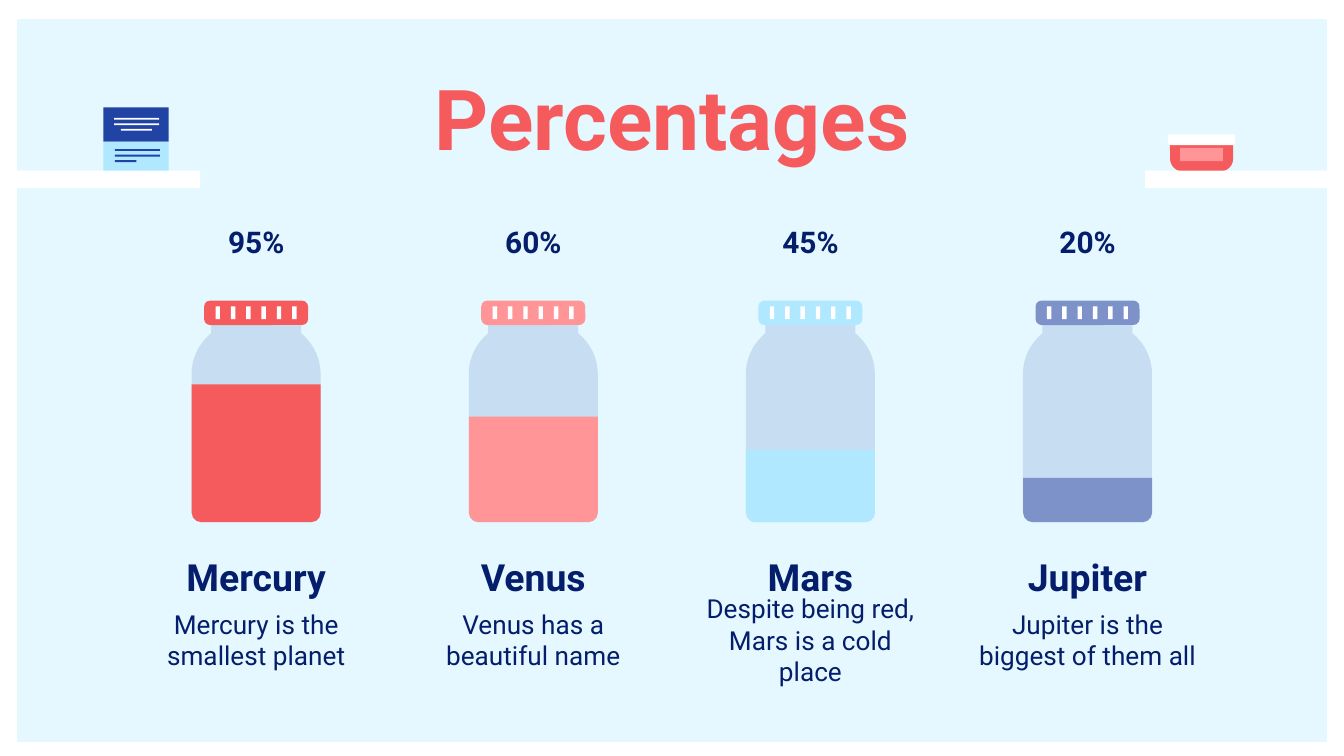
from pptx import Presentation
from pptx.dml.color import RGBColor
from pptx.enum.shapes import MSO_SHAPE as Shape
from pptx.enum.text import MSO_ANCHOR as Anchor, PP_ALIGN as Align
from pptx.oxml import parse_xml
from pptx.oxml.ns import nsdecls
from pptx.util import Inches, Pt

WHITE = RGBColor(0xFF, 0xFF, 0xFF)
PALE = RGBColor(0xE5, 0xF8, 0xFF)
SKY = RGBColor(0xB0, 0xE8, 0xFF)
BLUE = RGBColor(0x21, 0x43, 0xA3)
NAVY = RGBColor(0x05, 0x1E, 0x6B)
LAVENDER = RGBColor(0x7E, 0x92, 0xCA)
CORAL = RGBColor(0xF5, 0x5B, 0x5D)
PINK = RGBColor(0xFF, 0x95, 0x97)

# The slide is a grid of square cells: 100 columns by 56.25 rows
COLUMNS, ROWS = 100, 56.25
CELL = Inches(0.1)

deck = Presentation()
deck.slide_width, deck.slide_height = int(COLUMNS * CELL), int(ROWS * CELL)
slide = deck.slides.add_slide(deck.slide_layouts[6])
slide.background.fill.solid()
slide.background.fill.fore_color.rgb = PALE


def block(parent, left, top, width, height, color, kind=Shape.RECTANGLE, radius=0):
    """Add a flat shape, measured in cells; radius rounds its corners."""
    shape = parent.add_shape(kind, *(int(n * CELL) for n in (left, top, width, height)))
    shape.shadow.inherit = False
    shape.line.fill.background()
    shape.fill.solid()
    shape.fill.fore_color.rgb = color
    if radius:
        shape.adjustments[0] = radius / min(width, height)
    return shape


def write(text, center, top, width, height, size, color=NAVY, bold=False):
    """Add a text box centred on a column."""
    left = center - width / 2
    box = slide.shapes.add_textbox(*(int(n * CELL) for n in (left, top, width, height)))
    frame = box.text_frame
    frame.word_wrap = True
    frame.vertical_anchor = Anchor.MIDDLE
    frame.margin_left = frame.margin_right = CELL
    frame.margin_top = frame.margin_bottom = CELL
    paragraph = frame.paragraphs[0]
    paragraph.alignment = Align.CENTER
    run = paragraph.add_run()
    run.text = text
    run.font.name, run.font.size, run.font.bold = "Roboto", Pt(size), bold
    run.font.color.rgb = color
    return paragraph


# White frame around the slide
border = block(slide.shapes, 0, 0.2, COLUMNS, ROWS, WHITE)
border.fill.background()
border.line.color.rgb = WHITE
border.line.width = Pt(18)

# Labelled box on the left shelf
carton = slide.shapes.add_group_shape().shapes
block(carton, 7.7, 8, 4.85, 2.55, BLUE)
block(carton, 7.7, 10.55, 4.85, 2.2, SKY)
for row, (left, width) in enumerate([(8.5, 3.35), (8.5, 3.35), (9, 2.3)]):
    block(carton, left, 8.77 + 0.41 * row, width, 0.14, WHITE)
for row, width in enumerate([3.35, 3.35, 1.6]):
    block(carton, 8.55, 11.1 + 0.41 * row, width, 0.14, BLUE)

# Small pot on the right shelf
pot = slide.shapes.add_group_shape().shapes
block(pot, 87.05, 10.4, 4.7, 2.35, CORAL, Shape.ROUND_2_SAME_RECTANGLE, 0.95).rotation = 180
block(pot, 86.9, 10, 5, 0.8, WHITE)
block(pot, 87.8, 11, 3.2, 1, PINK)

for shelf_left in (-1.2, 85.2):
    block(slide.shapes, shelf_left, 12.7, 16.1, 1.3, WHITE)

title = write("Percentages", COLUMNS / 2, 5, 84.5, 6.3, 45, CORAL, True)
title.line_spacing = 1.15

# Left half of the glass, around the jar's centre line; the right half mirrors it
NECK_TOP, BOTTOM = 24.1, 38.85
shoulder = [(-3.35, 24.8), (-4.2, 25.5), (-4.8, 26.6), (-4.8, 27.8)]
foot = [(-4.8, 38.1), (-4.8, 38.5), (-4.5, BOTTOM), (-4.1, BOTTOM)]
left_half = [(-3.35, NECK_TOP)]
STEPS = 12
for curve in (shoulder, foot):
    for step in range(STEPS + 1):
        t = step / STEPS
        weights = ((1 - t) ** 3, 3 * t * (1 - t) ** 2, 3 * t * t * (1 - t), t ** 3)
        left_half.append(tuple(sum(w * point[axis] for w, point in zip(weights, curve))
                               for axis in (0, 1)))
outline = left_half + [(-x, y) for x, y in reversed(left_half)]
outline = [(x * CELL, y * CELL) for x, y in outline]

planets = [
    ("Mercury", "95%", "Mercury is the smallest planet", CORAL, 10.25),
    ("Venus", "60%", "Venus has a beautiful name", PINK, 7.85),
    ("Mars", "45%", "Despite being red, Mars is a cold place", SKY, 5.35),
    ("Jupiter", "20%", "Jupiter is the biggest of them all", LAVENDER, 3.3),
]
FIRST_CENTER, PITCH = 19.06, 20.62
for column, (planet, share, fact, color, level) in enumerate(planets):
    center = FIRST_CENTER + column * PITCH
    write(share, center, 15.5, 8.1, 4.9, 16, bold=True)

    jar = slide.shapes.add_group_shape().shapes
    builder = jar.build_freeform(*outline[0])
    builder.add_line_segments(outline[1:], close=True)
    glass = builder.convert_to_shape(int(center * CELL), 0)
    glass.shadow.inherit = False
    glass.line.fill.background()
    glass.fill.solid()
    glass.fill.fore_color.rgb = BLUE
    glass_color = glass.fill._xPr.solidFill[0]
    glass_color.append(parse_xml(f'<a:alpha {nsdecls("a")} val="15000"/>'))

    block(jar, center - 3.87, 22.37, 7.74, 1.82, color, Shape.ROUNDED_RECTANGLE, 0.45)
    for slit in range(6):
        block(jar, center - 3.02 + 1.14 * slit, 22.8, 0.33, 0.95, WHITE)
    liquid = block(jar, center - 4.8, BOTTOM - level, 9.6, level, color,
                   Shape.ROUND_2_SAME_RECTANGLE, 0.71)
    liquid.rotation = 180

    write(planet, center, 41, 14.5, 3.8, 20, bold=True)
    write(fact, center, 44.7, 18.2, 5.8, 14)

deck.save("out.pptx")
